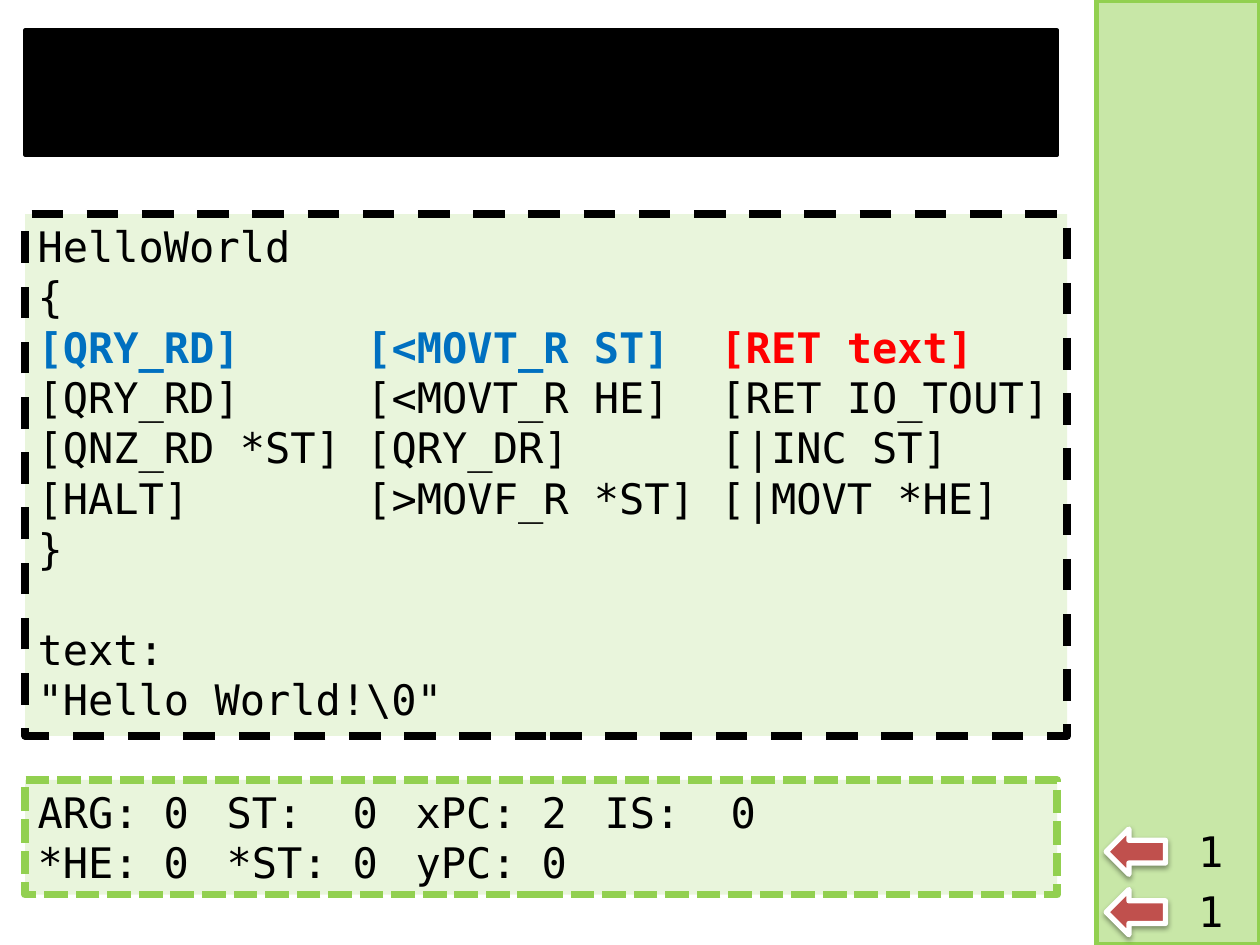
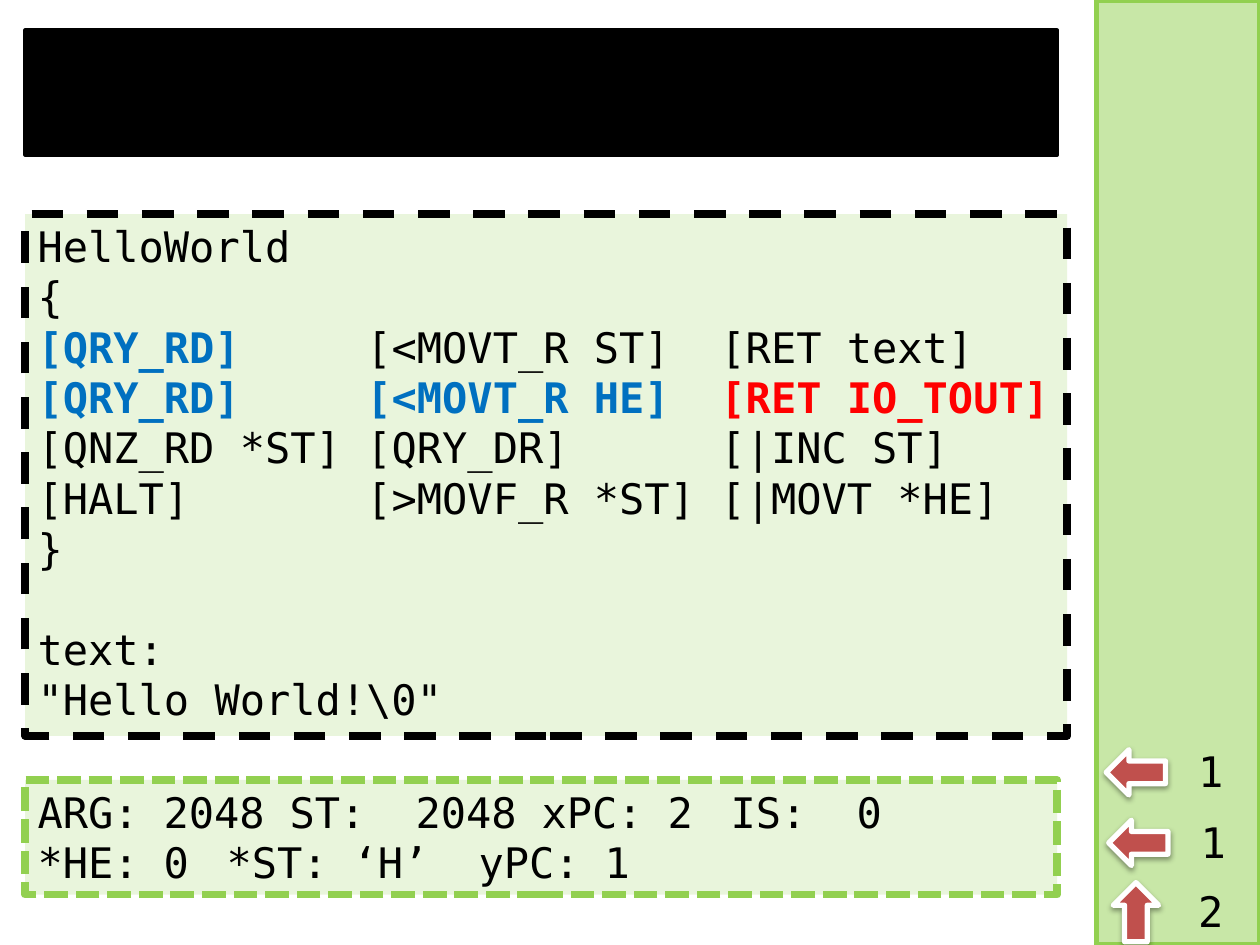
from lxml import etree
from pptx import Presentation
from pptx.dml.color import RGBColor
from pptx.enum.dml import MSO_LINE
from pptx.enum.shapes import MSO_SHAPE
from pptx.enum.text import MSO_ANCHOR, MSO_AUTO_SIZE, PP_ALIGN
from pptx.oxml.ns import qn
from pptx.util import Inches, Pt

RECT, LEFT_ARROW = MSO_SHAPE.RECTANGLE, MSO_SHAPE.LEFT_ARROW
DASH, SYS_DASH = MSO_LINE.DASH, MSO_LINE.SQUARE_DOT
TOP, LEFT, GROW = MSO_ANCHOR.TOP, PP_ALIGN.LEFT, MSO_AUTO_SIZE.SHAPE_TO_FIT_TEXT

BLACK, WHITE, GREEN = "000000", "FFFFFF", "92D050"
BLUE, RED, BRICK = "0070C0", "FF0000", "C0504D"
MARGIN = 0.2
COLUMN_STOPS = (2.61, 5.42)
LINE_HEIGHT = 28.8

INSTRUCTIONS = [
    ("[QRY_RD]", "[<MOVT_R ST]", "[RET text]"),
    ("[QRY_RD]", "[<MOVT_R HE]", "[RET IO_TOUT]"),
    ("[QNZ_RD *ST]", "[QRY_DR]", "[|INC ST]"),
    ("[HALT]", "[>MOVF_R *ST]", "[|MOVT *HE]"),
]

STEPS = [
    {
        "marks": {(0, 0): BLUE, (0, 1): BLUE, (0, 2): RED},
        "registers": "ARG:\t0\tST:\t0\txPC:\t2\tIS:\t0\v"
                     "*HE:\t0\t*ST:\t0\tyPC:\t0",
        "stack": [(8.78, 7.06, "1", 0), (8.78, 6.58, "1", 0)],
    },
    {
        "marks": {(0, 0): BLUE, (1, 0): BLUE, (1, 1): BLUE, (1, 2): RED},
        "registers": "ARG:\t2048\tST:\t2048\txPC:\t2\tIS:\t0\v"
                     "*HE:\t0\t*ST:\t‘H’\tyPC:\t1",
        "stack": [(8.78, 7.06, "2", 90), (8.8, 6.51, "1", 0),
                  (8.78, 5.95, "1", 0)],
    },
]


def rgb(value):
    return RGBColor.from_string(value)


class Deck:
    font = {"name": "DejaVu Sans Mono", "size": Pt(24)}
    frame_format = {"word_wrap": True, "auto_size": GROW, "vertical_anchor": TOP}

    def __init__(self):
        self.prs = Presentation()
        self.prs.slide_width, self.prs.slide_height = Inches(10), Inches(7.5)

    def new_slide(self):
        self.slide = self.prs.slides.add_slide(self.prs.slide_layouts[6])

    def style_run(self, run, color=BLACK, bold=False):
        for key, value in {**self.font, "bold": bold}.items():
            setattr(run.font, key, value)
        run.font.color.rgb = rgb(color)

    def prepare(self, frame):
        for key, value in self.frame_format.items():
            setattr(frame, key, value)
        return frame

    def set_text(self, paragraph, text):
        paragraph.text = text
        paragraph.alignment = LEFT
        for run in paragraph.runs:
            self.style_run(run)

    def shape(self, kind, at, fill, line, weight, dash=None, alpha=None, parent=None):
        shape = (parent or self.slide).shapes.add_shape(kind, *map(Inches, at))
        shape.shadow.inherit = False
        shape.fill.solid()
        shape.fill.fore_color.rgb = rgb(fill)
        shape.line.color.rgb = rgb(line)
        shape.line.width = Pt(weight)
        if dash:
            shape.line.dash_style = dash
        if alpha:
            color = shape._element.spPr.find(qn("a:solidFill")).find(qn("a:srgbClr"))
            etree.SubElement(color, qn("a:alpha"), val=str(alpha * 1000))
        return shape

    def title_band(self):
        self.shape(RECT, (MARGIN, 0.24, 8.19, 0.99), BLACK, BLACK, 2)

    def stack_column(self):
        self.shape(RECT, (8.7, 0, 1.3, 7.5), GREEN, GREEN, 3, alpha=50)

    def instruction_row(self, paragraph, row, cells, marks):
        paragraph.alignment = LEFT
        tabs = etree.SubElement(paragraph._p.get_or_add_pPr(), qn("a:tabLst"))
        for stop in COLUMN_STOPS:
            etree.SubElement(tabs, qn("a:tab"), pos=str(Inches(stop)), algn="l")
        for column, cell in enumerate(cells):
            run = paragraph.add_run()
            run.text = "\t" + cell if column else cell
            mark = marks.get((row, column))
            self.style_run(run, mark or BLACK, bool(mark))

    def program(self, marks):
        box = self.shape(RECT, (MARGIN, 1.7, 8.27, 4.14), GREEN, BLACK, 4.5, DASH, 20)
        frame = self.prepare(box.text_frame)
        self.set_text(frame.paragraphs[0], "HelloWorld")
        self.set_text(frame.add_paragraph(), "{")
        for row, cells in enumerate(INSTRUCTIONS):
            self.instruction_row(frame.add_paragraph(), row, cells, marks)
        self.set_text(frame.add_paragraph(), "}")
        label = frame.add_paragraph()
        self.set_text(label, "text:")
        label.space_before = Pt(LINE_HEIGHT)
        self.set_text(frame.add_paragraph(), '"Hello World!\\0"')

    def registers(self, text):
        box = self.shape(RECT, (MARGIN, 6.19, 8.19, 0.91), GREEN, GREEN, 4.5, SYS_DASH, 20)
        self.set_text(self.prepare(box.text_frame).paragraphs[0], text)

    def add_shadow(self, shape):
        effects = shape._element.spPr.find(qn("a:effectLst"))
        shadow = etree.SubElement(effects, qn("a:outerShdw"), blurRad=str(Pt(3.1)),
                                  dist=str(Pt(1.6)), dir="5400000", rotWithShape="0")
        color = etree.SubElement(shadow, qn("a:srgbClr"), val=BLACK)
        etree.SubElement(color, qn("a:alpha"), val="38000")

    def stack_entry(self, left, top, value, rotation):
        entry = self.slide.shapes.add_group_shape()
        arrow = self.shape(LEFT_ARROW, (left, top, 0.47, 0.36), BRICK, WHITE, 3, parent=entry)
        arrow.rotation = rotation
        self.add_shadow(arrow)
        number = entry.shapes.add_textbox(
            *map(Inches, (left + 0.63, top - 0.08, 0.59, 0.5)))
        self.set_text(self.prepare(number.text_frame).paragraphs[0], value)


deck = Deck()
for step in STEPS:
    deck.new_slide()
    deck.program(step["marks"])
    deck.stack_column()
    deck.registers(step["registers"])
    deck.title_band()
    for entry in step["stack"]:
        deck.stack_entry(*entry)
deck.prs.save("out.pptx")
